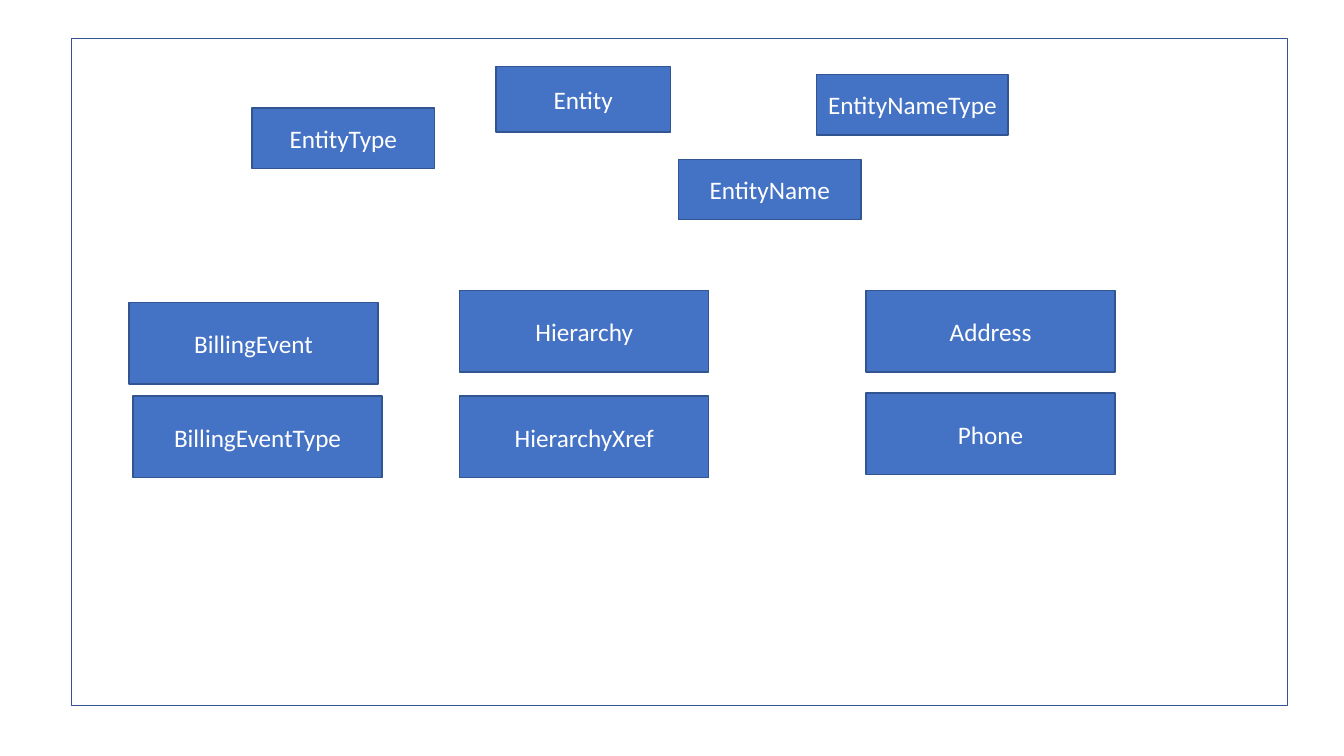
"""Build a slide of data-model entities inside a frame."""
from pptx import Presentation
from pptx.dml.color import RGBColor
from pptx.enum.shapes import MSO_SHAPE
from pptx.enum.text import MSO_ANCHOR, PP_ALIGN
from pptx.util import Inches, Pt

RECTANGLE = MSO_SHAPE.RECTANGLE
MIDDLE = MSO_ANCHOR.MIDDLE
CENTER = PP_ALIGN.CENTER
BLANK_LAYOUT = 6

FILL, OUTLINE, TEXT = "4472C4", "325491", "FFFFFF"
FONT = "Calibri"

ENTITY_SIZE = (1.73, 0.65)
NAME_SIZE = (1.81, 0.6)
NAME_TYPE_SIZE = (1.9, 0.6)
DETAIL_SIZE = (2.47, 0.81)

ENTITIES = [
    ("Entity", 4.92, 0.66, ENTITY_SIZE),
    ("EntityType", 2.5, 1.07, NAME_SIZE),
    ("Hierarchy", 4.56, 2.88, DETAIL_SIZE),
    ("HierarchyXref", 4.56, 3.93, DETAIL_SIZE),
    ("BillingEvent", 1.28, 3, DETAIL_SIZE),
    ("BillingEventType", 1.32, 3.93, DETAIL_SIZE),
    ("Address", 8.59, 2.88, DETAIL_SIZE),
    ("Phone", 8.59, 3.9, DETAIL_SIZE),
    ("EntityName", 6.73, 1.58, NAME_SIZE),
    ("EntityNameType", 8.1, 0.74, NAME_TYPE_SIZE),
]


def color(hex_value):
    return RGBColor.from_string(hex_value)


def add_outlined_box(slide, left, top, width, height):
    box = slide.shapes.add_shape(
        RECTANGLE, Inches(left), Inches(top), Inches(width), Inches(height))
    box.shadow.inherit = False
    box.fill.background()
    box.line.color.rgb = color(OUTLINE)
    box.line.width = Pt(1)
    return box


def add_entity(slide, label, left, top, size):
    entity = add_outlined_box(slide, left, top, *size)
    entity.fill.solid()
    entity.fill.fore_color.rgb = color(FILL)
    frame = entity.text_frame
    frame.text = label
    frame.word_wrap = True
    frame.vertical_anchor = MIDDLE
    paragraph = frame.paragraphs[0]
    paragraph.alignment = CENTER
    font = paragraph.runs[0].font
    font.name = FONT
    font.size = Pt(18)
    font.color.rgb = color(TEXT)


def main():
    deck = Presentation()
    deck.slide_width, deck.slide_height = Inches(13.33), Inches(7.5)
    slide = deck.slides.add_slide(deck.slide_layouts[BLANK_LAYOUT])
    add_outlined_box(slide, 0.71, 0.38, 12.06, 6.62)
    for label, left, top, size in ENTITIES:
        add_entity(slide, label, left, top, size)
    deck.save("out.pptx")


main()
